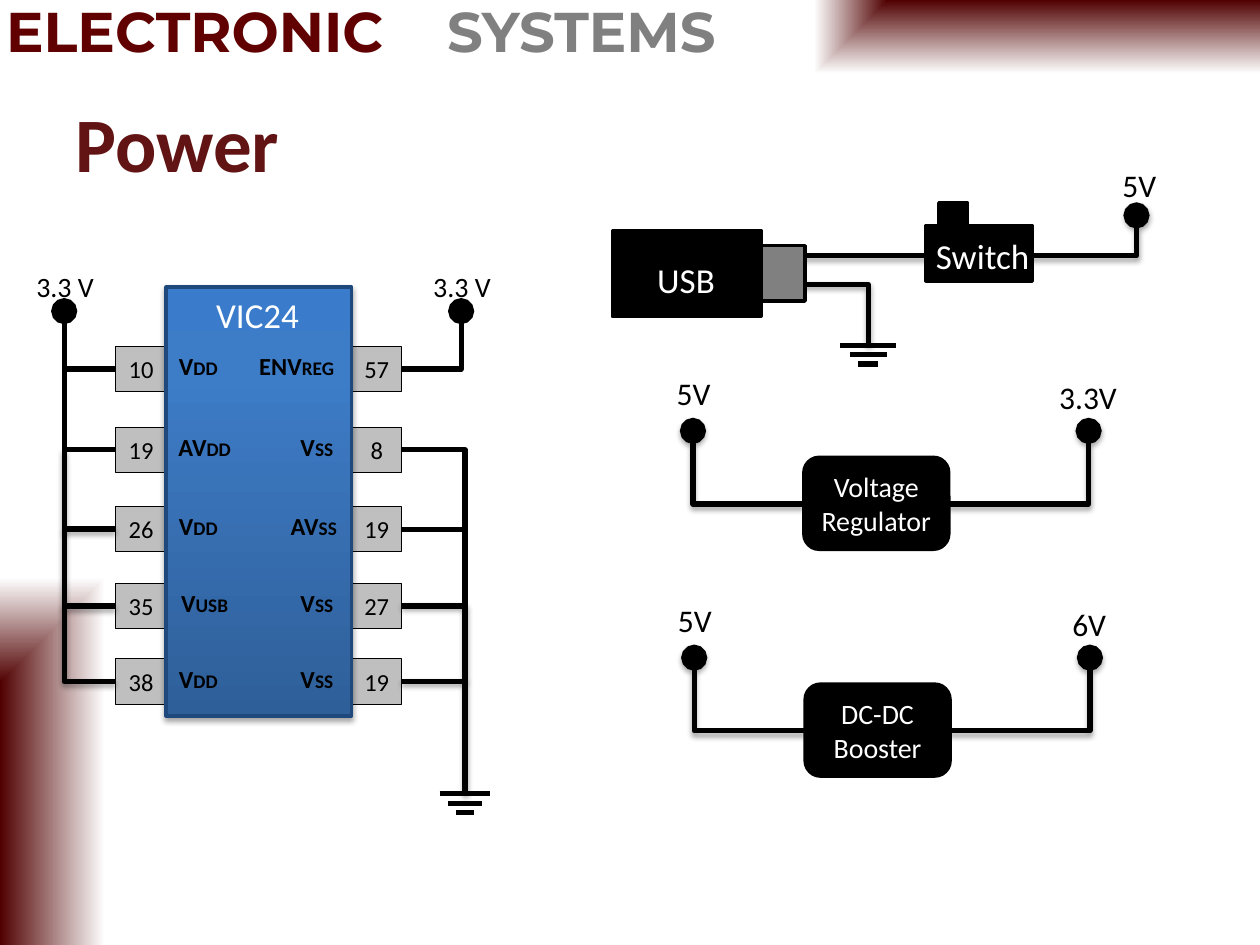
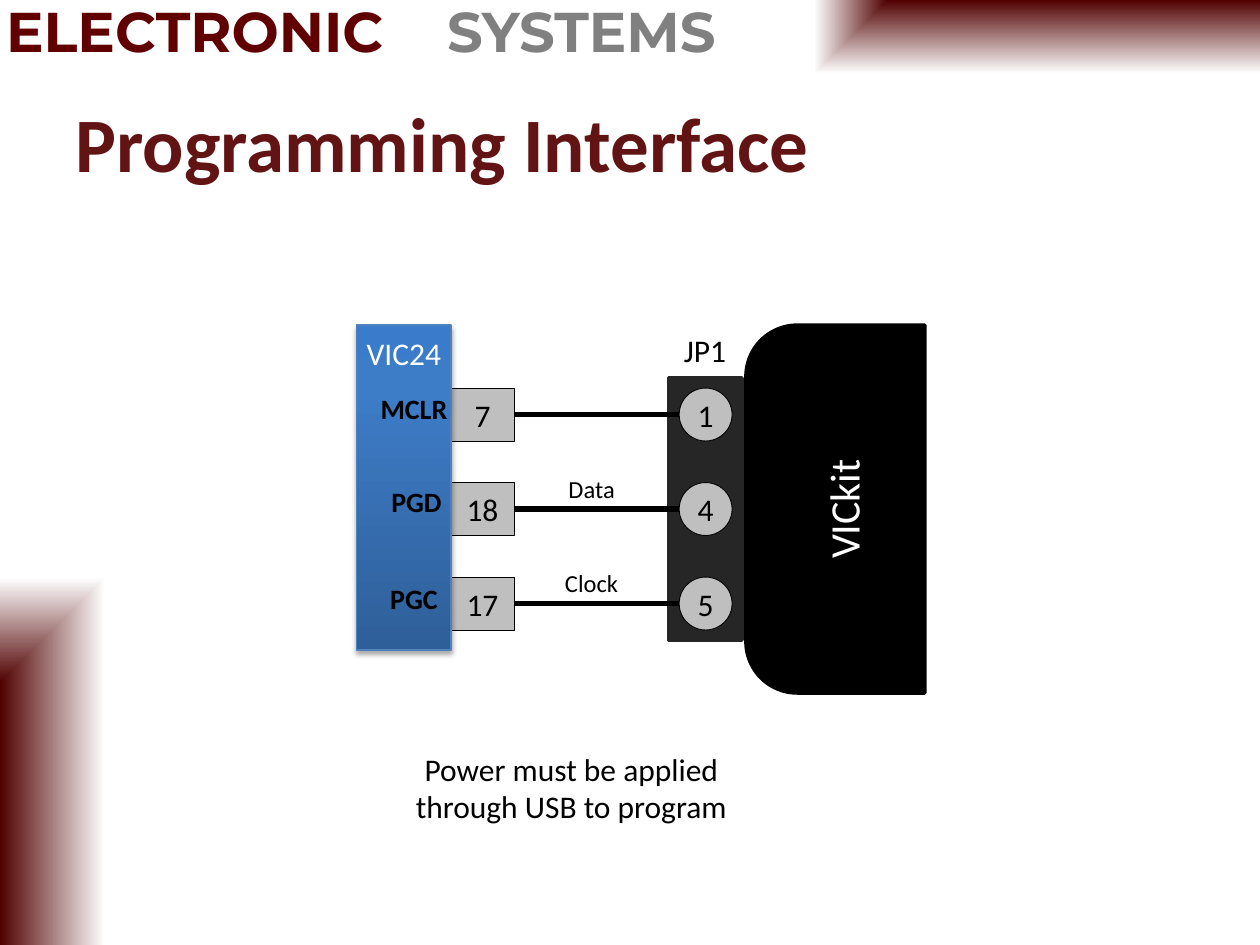
from pptx import Presentation
from pptx.dml.color import RGBColor
from pptx.enum.shapes import MSO_CONNECTOR, MSO_SHAPE
from pptx.enum.text import MSO_ANCHOR, PP_ALIGN
from pptx.oxml import parse_xml
from pptx.oxml.ns import nsdecls, qn
from pptx.util import Inches, Pt

BLACK, WHITE, GRAY, PIN = "000000", "FFFFFF", "808080", "BFBFBF"
MAROON, TITLE, NAVY = "600000", "621414", "1F497D"
CHIP = "VIC24"
FADE = [(0, "500000"), (100, WHITE)]
CORNER = '<a:path path="rect"><a:fillToRect l="{}" t="{}" r="{}" b="{}"/></a:path>'
TOP_RIGHT = (FADE, CORNER.format(100000, 0, 0, 100000))
BOTTOM_LEFT = (FADE, CORNER.format(0, 100000, 100000, 0))
BLUE = ([(0, "2F5F99"), (80, "3D7CC7"), (100, "3A7CCB")],
        '<a:lin ang="16200000" scaled="0"/>')
SHADOW = (f'<a:effectLst {nsdecls("a")}><a:outerShdw blurRad="40000" dist="23000" '
          'dir="5400000" rotWithShape="0"><a:srgbClr val="000000">'
          '<a:alpha val="35000"/></a:srgbClr></a:outerShdw></a:effectLst>')
NO_SHADOW = f'<a:effectLst {nsdecls("a")}/>'
RECT, ROUND, OVAL = MSO_SHAPE.RECTANGLE, MSO_SHAPE.ROUNDED_RECTANGLE, MSO_SHAPE.OVAL


def box(s, at, text="", shape=None, fill=None, line=None, width=2, shadow=False,
        size=18, color=BLACK, bold=False, font="Calibri", align="c", sub="",
        anchor=MSO_ANCHOR.TOP):
    """Add a text box, or a preset shape when one is given; sub is a smaller end run."""
    at = [Inches(v) for v in at]
    if shape is None:
        sp = s.shapes.add_textbox(*at)
    else:
        sp = s.shapes.add_shape(shape, *at)
        anchor = MSO_ANCHOR.MIDDLE
        if isinstance(fill, tuple):
            stops, direction = fill
            gs = "".join(f'<a:gs pos="{pos * 1000}"><a:srgbClr val="{c}"/></a:gs>'
                         for pos, c in stops)
            sp.element.spPr.find(qn("a:prstGeom")).addnext(parse_xml(
                f'<a:gradFill {nsdecls("a")} rotWithShape="1"><a:gsLst>{gs}</a:gsLst>'
                f'{direction}</a:gradFill>'))
        else:
            sp.fill.solid()
            sp.fill.fore_color.rgb = RGBColor.from_string(fill)
        if line:
            sp.line.color.rgb = RGBColor.from_string(line)
            sp.line.width = Pt(width)
        else:
            sp.line.fill.background()
        if shadow:
            sp.element.spPr.append(parse_xml(SHADOW))
        else:
            sp.shadow.inherit = False
    if not text:
        return sp
    tf = sp.text_frame
    tf.word_wrap = shape is None
    tf.vertical_anchor = anchor
    for i, words in enumerate(text.split("\n")):
        p = tf.add_paragraph() if i else tf.paragraphs[0]
        p.alignment = PP_ALIGN.CENTER if align == "c" else PP_ALIGN.LEFT
        for part, points in ((words, size), (sub, 11)):
            if part:
                r = p.add_run()
                r.text = part
                r.font.name, r.font.size, r.font.bold = font, Pt(points), bold
                r.font.color.rgb = RGBColor.from_string(color)
    return sp


def wire(s, x1, y1, x2, y2, dot=False, shadow=False):
    """Add a straight wire, or one that runs across and then up or down."""
    bent = x1 != x2 and y1 != y2
    kind = MSO_CONNECTOR.ELBOW if bent else MSO_CONNECTOR.STRAIGHT
    c = s.shapes.add_connector(kind, Inches(x1), Inches(y1), Inches(x2), Inches(y2))
    c.line.color.rgb = RGBColor.from_string(BLACK)
    c.line.width = Pt(3)
    spPr = c.element.spPr
    if bent:
        spPr.find(qn("a:prstGeom")).find(qn("a:avLst")).append(
            parse_xml(f'<a:gd {nsdecls("a")} name="adj1" fmla="val 100000"/>'))
    if dot:
        spPr.find(qn("a:ln")).append(
            parse_xml(f'<a:tailEnd {nsdecls("a")} type="oval" w="lg" len="lg"/>'))
    spPr.append(parse_xml(SHADOW if shadow else NO_SHADOW))
    return c


prs = Presentation()
prs.slide_width, prs.slide_height = Inches(10), Inches(7.5)

# Shared bands, header and title
slides = []
for title in ("Power", "Programming Interface"):
    s = prs.slides.add_slide(prs.slide_layouts[6])
    box(s, (2.92, 0, 7.08, 1.17), shape=RECT, fill=TOP_RIGHT)
    box(s, (0, 1.67, 1.67, 5.83), shape=RECT, fill=BOTTOM_LEFT)
    for x, word, color in ((-0.05, "ELECTRONIC", MAROON), (3.45, "SYSTEMS", GRAY)):
        box(s, (x, -0.08, 3.4, 0.64), word, size=32, color=color, bold=True,
            font="Montserrat", align="l")
    box(s, (0.5, 0.5, 9, 1.25), title, size=44, color=TITLE, bold=True, align="l",
        anchor=MSO_ANCHOR.MIDDLE)
    slides.append(s)
power, programming = slides

# Power: USB plug, switch and 5 V terminal
s = power
box(s, (8.81, 1.27, 0.79, 0.36), "5V", align="l")
wire(s, 6.07, 2.26, 6.89, 2.74, shadow=True)
wire(s, 6.25, 2.03, 9.02, 1.71, dot=True, shadow=True)
box(s, (5.68, 1.95, 0.71, 0.44), shape=RECT, fill=GRAY, line=BLACK)
box(s, (4.86, 1.83, 1.18, 0.68), shape=RECT, fill=BLACK, line=BLACK)
box(s, (4.95, 2, 0.99, 0.39), "USB", size=20, color=WHITE)
box(s, (7.45, 1.61, 0.23, 0.25), shape=RECT, fill=BLACK, line=BLACK)
box(s, (7.35, 1.79, 0.84, 0.44), shape=RECT, fill=BLACK, line=BLACK)
box(s, (7.33, 1.81, 1.16, 0.39), "Switch", size=20, color=WHITE, align="l")

# Power: microcontroller pins, then its body and labels over them
rows = [2.75, 3.39, 4.02, 4.63, 5.23]
left_pins = [("10", "V", "DD", 0.53), ("19", "AV", "DD", 0.63), ("26", "V", "DD", 0.53),
             ("35", "V", "USB", 0.63), ("38", "V", "DD", 0.53)]
right_pins = [("57", "ENV", "REG", 0.85), ("8", "V", "SS", 0.53), ("19", "AV", "SS", 0.58),
              ("27", "V", "SS", 0.53), ("19", "V", "SS", 0.53)]
for x, pins in ((0.92, left_pins), (2.79, right_pins)):
    for y, pin in zip(rows, pins):
        box(s, (x, y, 0.4, 0.36), pin[0], RECT, PIN, BLACK, 0.5, size=14)
box(s, (1.32, 2.28, 1.47, 3.4), shape=RECT, fill=BLUE, line=NAVY, width=2.25, shadow=True)
box(s, (1.31, 2.28, 1.47, 0.38), CHIP, size=20, color=WHITE)
for y, left, right in zip(rows, left_pins, right_pins):
    for x, (_, name, sub, w) in ((1.31, left), (2.78 - right[3], right)):
        box(s, (x, y - 0.01, w, 0.34), name, size=14, bold=True, sub=sub)

# Power: supply bus on the left, ground bus on the right
for x in (0.19, 3.34):
    box(s, (x, 2.09, 0.67, 0.37), "3.3 V", size=16, align="l")
wire_rows = [y + 0.18 for y in rows]
for i, (y, above) in enumerate(zip(wire_rows, [2.47] + wire_rows)):
    wire(s, 0.92, y, 0.51, above, dot=i == 0, shadow=i > 1)
wire(s, 3.19, wire_rows[0], 3.66, 2.47, dot=True)
for i, (y, below) in enumerate(zip(wire_rows[1:], wire_rows[2:] + [6.3])):
    wire(s, 3.19, y, 3.69, below, shadow=i > 1)

# Power: ground symbols
for x, y, half in ((6.89, 2.74, 0.22), (3.69, 6.3, 0.2)):
    for i, share in enumerate((1, 0.67, 0.35)):
        bar_y = y + 0.075 * i
        wire(s, x - half * share, bar_y, x + half * share, bar_y)

# Power: converters with their input and output terminals
for x, y, name, output in ((6.38, 3.63, "Voltage\nRegulator", "3.3V"),
                           (6.39, 5.43, "DC-DC\nBooster", "6V")):
    box(s, (x, y, 1.15, 0.73), name, ROUND, BLACK, BLACK, size=16, color=WHITE)
    for x1, x2 in ((x, x - 0.88), (x + 1.15, x + 2.26)):
        wire(s, x1, y + 0.37, x2, y - 0.21, dot=True, shadow=True)
    box(s, (x - 1.14, y - 0.71, 0.53, 0.4), "5V")
    box(s, (x + 1.84, y - 0.68, 0.83, 0.4), output)

# Programming interface: pins, chip over them, programmer and its header
s = programming
signals = [("MCLR", 2.66, 3.06, "7", "1", ""),
           ("PGD", 2.68, 3.8, "18", "4", "Data"),
           ("PGC", 2.66, 4.57, "17", "5", "Clock")]
pin_rows = [3.08 + 0.75 * i for i in range(len(signals))]
pins = [box(s, (3.58, y, 0.5, 0.42), signal[3], RECT, PIN, BLACK, 0.5)
        for y, signal in zip(pin_rows, signals)]
box(s, (2.83, 2.58, 0.75, 2.58), shape=RECT, fill=BLUE, line="4F81BD", width=0.75, shadow=True)
programmer = box(s, (5.17, 3.33, 2.92, 1.42), "VICkit", MSO_SHAPE.ROUND_2_SAME_RECTANGLE,
                 BLACK, BLACK, size=24, color=WHITE)
programmer.rotation = 270
programmer.adjustments[0] = 0.287
box(s, (5.31, 3, 0.58, 2.08), shape=RECT, fill="262626", line="262626")

for y, pin, (name, name_x, name_y, _, header_no, signal) in zip(pin_rows, pins, signals):
    box(s, (5.39, y, 0.42, 0.42), header_no, OVAL, PIN, BLACK, 0.5)
    wire(s, 4.08, y + 0.21, 5.39, y + 0.21).begin_connect(pin, 3)
    box(s, (name_x, name_y, 1.25, 0.37), name, size=16, bold=True)
    if signal:
        box(s, (4.07, y - 0.12, 1.25, 0.34), signal, size=14)

box(s, (5.33, 2.58, 0.58, 0.4), "JP1", align="l")
box(s, (2.73, 2.6, 0.95, 0.4), CHIP, color=WHITE)
box(s, (3.18, 5.9, 2.71, 0.71), "Power must be applied through USB to program")

prs.save("out.pptx")
